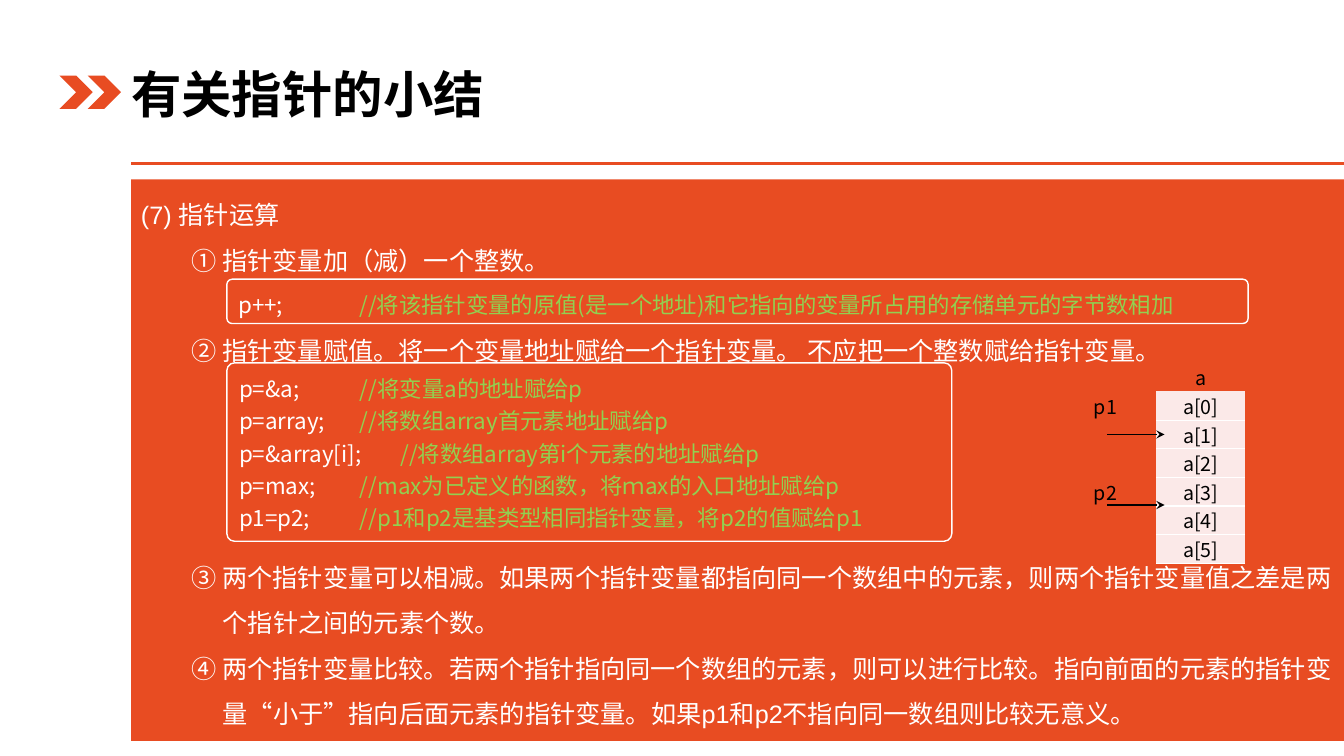
"""Build the slide that sums up pointer arithmetic."""
from dataclasses import dataclass
from lxml import etree
from pptx import Presentation
from pptx import util as u
from pptx.dml.color import RGBColor
from pptx.enum import shapes as sh, text as tx
from pptx.oxml.ns import qn


@dataclass(frozen=True)
class Theme:
    """Colours, fonts and type sizes."""
    red: str = "E84C22"
    white: str = "FFFFFF"
    black: str = "000000"
    green: str = "92D050"
    pink: str = "FBE9E8"
    cjk: str = "Noto Sans CJK SC"
    latin: str = "Arial"
    head: int = 36
    body: int = 18
    code: int = 16
    cell: int = 14


@dataclass(frozen=True)
class Para:
    """One paragraph: its coloured runs, level and space before."""
    runs: tuple
    level: int = 0
    gap: float = 0


@dataclass(frozen=True)
class Code:
    """A rounded frame with lines of code and comment."""
    top: float
    wide: float
    high: float
    adj: float
    lines: tuple


T = Theme()
LINE = 32.4

POINTS = (
    Para((("(7) 指针运算", T.white),)),
    Para((("① 指针变量加（减）一个整数。", T.white),), 1),
    Para((("② 指针变量赋值。将一个变量地址赋给一个指针变量。 不应把一个整数赋给指针变量。", T.white),), 1, LINE),
    Para((("③ 两个指针变量可以相减。如果两个指针变量都指向同一个数组中的元素，"
           "则两个指针变量值之差是两个指针之间的元素个数。", T.white),), 1, 4 * LINE),
    Para((("④ 两个指针变量比较。若两个指针指向同一个数组的元素，则可以进行比较。"
           "指向前面的元素的指针变量“小于”指向后面元素的指针变量。"
           "如果p1和p2不指向同一数组则比较无意义。", T.white),), 1),
)

CODES = (
    Code(2.77, 10.13, 0.44, 0.121, (
        ("p++;", "//将该指针变量的原值(是一个地址)和它指向的变量所占用的存储单元的字节数相加"),)),
    Code(3.6, 7.19, 1.77, 0.043, (
        ("p=&a;", "//将变量a的地址赋给p"),
        ("p=array;", "//将数组array首元素地址赋给p"),
        ("p=&array[i];", "//将数组array第i个元素的地址赋给p"),
        ("p=max;", "//max为已定义的函数，将ｍax的入口地址赋给p"),
        ("p1=p2;", "//p1和p2是基类型相同指针变量，将p2的值赋给p1"))),
)


def rgb(hue: str) -> RGBColor:
    """Turn a hex string into a colour."""
    return RGBColor.from_string(hue)


def write(frame, paras, size: int, face: str = T.cjk, bold: bool = False,
          space: float = 1.0, align=tx.PP_ALIGN.LEFT, tabs: tuple = ()) -> None:
    """Fill a text frame with formatted paragraphs."""
    for i, para in enumerate(paras):
        p = frame.paragraphs[0] if i == 0 else frame.add_paragraph()
        p.alignment, p.level, p.line_spacing = align, para.level, space
        p.space_before = u.Pt(para.gap)
        props = p._p.get_or_add_pPr()
        if para.level:
            props.set("marL", str(u.Inches(0.81)))
            props.set("indent", str(u.Inches(-0.31)))
        if tabs:
            stops = etree.SubElement(props, qn("a:tabLst"))
            for tab in tabs:
                etree.SubElement(stops, qn("a:tab"), pos=str(u.Inches(tab)), algn="l")
        for words, hue in para.runs:
            run = p.add_run()
            run.text = words
            font = run.font
            font.size, font.bold, font.name = u.Pt(size), bold, face
            font.color.rgb = rgb(hue)
            etree.SubElement(run._r.get_or_add_rPr(), qn("a:ea"), typeface=T.cjk)
        if not para.runs:
            etree.SubElement(p._p, qn("a:endParaRPr"), sz=str(size * 100))


def block(pool, kind, left: float, top: float, wide: float, high: float,
          fill: str = "", line: str = ""):
    """Draw a preset shape with a fill or an outline."""
    box = pool.add_shape(kind, *map(u.Inches, (left, top, wide, high)))
    box.shadow.inherit = False
    if fill:
        box.fill.solid()
        box.fill.fore_color.rgb = rgb(fill)
    else:
        box.fill.background()
    if line:
        box.line.color.rgb = rgb(line)
        box.line.width = u.Pt(1)
    else:
        box.line.fill.background()
    box.text_frame.word_wrap = True
    box.text_frame.vertical_anchor = tx.MSO_ANCHOR.TOP
    return box


def rule(pool, left: float, right: float, top: float, hue: str,
         width: float, arrow: bool = False) -> None:
    """Draw a level line, with an arrowhead if asked."""
    ends = map(u.Inches, (left, top, right, top))
    line = pool.add_connector(sh.MSO_CONNECTOR.STRAIGHT, *ends)
    line.line.color.rgb = rgb(hue)
    line.line.width = u.Pt(width)
    if arrow:
        etree.SubElement(line.line._get_or_add_ln(), qn("a:tailEnd"), type="stealth")
    etree.SubElement(line._element.spPr, qn("a:effectLst"))


def edge(cell, side: str) -> None:
    """Give one side of a cell a white border."""
    ln = etree.SubElement(cell._tc.get_or_add_tcPr(), qn("a:" + side), w="12700")
    fill = etree.SubElement(ln, qn("a:solidFill"))
    etree.SubElement(fill, qn("a:srgbClr"), val=T.white)


def array(pool) -> None:
    """Draw the array cells with their pointer labels."""
    size = map(u.Inches, (10.81, 3.6, 1.55, 1.88))
    grid = pool.add_table(7, 2, *size).table
    grid.first_row = grid.horz_banding = False
    grid._tbl.tblPr.find(qn("a:tableStyleId")).text = "{2D5ABB26-0587-4C30-8999-92F81FD0307C}"
    for col, wide in zip(grid.columns, (0.66, 0.88)):
        col.width = u.Inches(wide)
    marks = {1: "p1", 4: "p2"}
    for i, row in enumerate(grid.rows):
        row.height = u.Inches(0.27)
        name = f"a[{i - 1}]" if i else "a"
        sides = (marks.get(i, ""), 0.04, tx.PP_ALIGN.LEFT), (name, 0.1, tx.PP_ALIGN.CENTER)
        for cell, (words, inset, align) in zip(row.cells, sides):
            cell.margin_left = cell.margin_right = u.Inches(inset)
            cell.margin_top = cell.margin_bottom = 0
            runs = ((words, T.black),) if words else ()
            write(cell.text_frame, [Para(runs)], T.cell, align=align)
        slot = row.cells[1]
        if i:
            slot.vertical_anchor = tx.MSO_ANCHOR.MIDDLE
            if i > 1:
                edge(slot, "lnT")
            edge(slot, "lnB")
            slot.fill.solid()
            slot.fill.fore_color.rgb = rgb(T.pink)


def main() -> None:
    """Build and save the slide."""
    deck = Presentation()
    deck.slide_width, deck.slide_height = u.Inches(13.33), u.Inches(7.5)
    slide = deck.slides.add_slide(deck.slide_layouts[5])
    pool = slide.shapes
    slide.background.fill.solid()
    slide.background.fill.fore_color.rgb = rgb(T.white)

    title = pool.title
    title.left, title.top, title.width, title.height = map(u.Inches, (1.2, 0.53, 5.94, 0.79))
    title.text_frame.auto_size = tx.MSO_AUTO_SIZE.NONE
    title.text_frame.vertical_anchor = tx.MSO_ANCHOR.MIDDLE
    write(title.text_frame, [Para((("有关指针的小结", T.black),))], T.head, bold=True)

    rule(pool, 1.3, 13.33, 1.62, T.red, 2.25)
    panel = block(pool, sh.MSO_SHAPE.RECTANGLE, 1.3, 1.78, 12.03, 5.57, fill=T.red)
    write(panel.text_frame, POINTS, T.body, face=T.latin, space=1.5)
    group = pool.add_group_shape()
    for left in (0.59, 0.87):
        block(group.shapes, sh.MSO_SHAPE.CHEVRON, left, 0.75, 0.33, 0.33, fill=T.red)

    for code in CODES:
        box = block(pool, sh.MSO_SHAPE.ROUNDED_RECTANGLE, 2.25, code.top,
                    code.wide, code.high, line=T.white)
        box.adjustments[0] = code.adj
        paras = [Para(((left + "\t", T.white), (note, T.green))) for left, note in code.lines]
        write(box.text_frame, paras, T.code, space=1.2, tabs=(1.2, 1.6))

    array(pool)
    for top in (4.31, 5.01):
        rule(pool, 10.98, 11.55, top, T.black, 1, arrow=True)
    deck.save("out.pptx")


if __name__ == "__main__":
    main()
